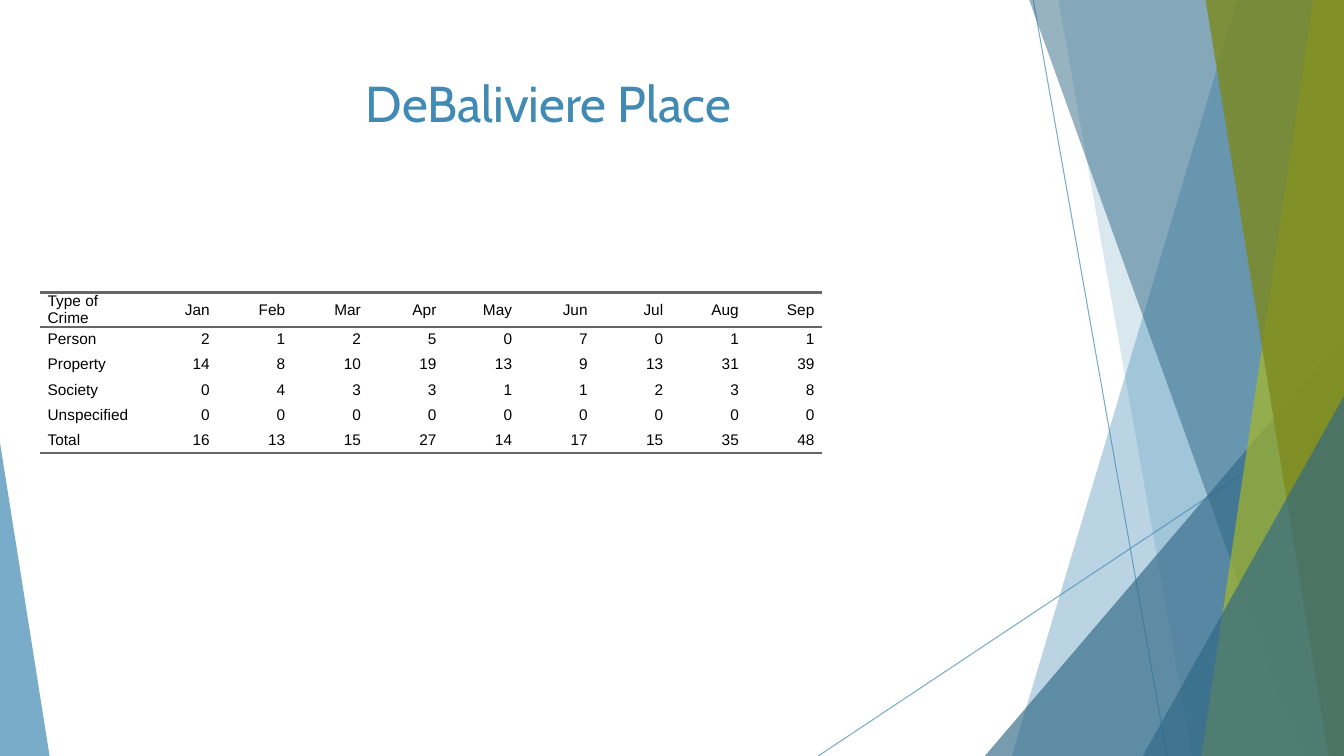
from lxml import etree
from pptx import Presentation
from pptx import util as u
from pptx.dml.color import RGBColor
from pptx.enum import shapes, text
from pptx.oxml import ns

COLORS = {"blue": "418AB3", "navy": "316886", "lime": "A6B727",
          "olive": "7D891D", "rule": "666666", "ink": "000000"}
WIDTH, HEIGHT = 33.87, 19.05
TOP = -0.02

deck = Presentation()
deck.slide_width, deck.slide_height = u.Cm(WIDTH), u.Cm(HEIGHT)
page = deck.slides.add_slide(deck.slide_layouts[5])


def paint(fill, color, opacity):
    """Solid fill with the given opacity in percent."""
    fill.solid()
    fill.fore_color.rgb = RGBColor.from_string(COLORS[color])
    for node in fill._xPr.iter(ns.qn("a:srgbClr")):
        etree.SubElement(node, ns.qn("a:alpha"), val=str(opacity * 1000))


def set_font(font, name, size, color):
    for key, value in {"name": name, "size": u.Pt(size)}.items():
        setattr(font, key, value)
    font.color.rgb = RGBColor.from_string(COLORS[color])


# Thin crossing lines
for x1, y1, x2, y2 in [(26.04, 0, 29.41, HEIGHT), (WIDTH, 10.24, 20.62, HEIGHT)]:
    line = page.shapes.add_connector(
        shapes.MSO_CONNECTOR.STRAIGHT, u.Cm(x1), u.Cm(y1), u.Cm(x2), u.Cm(y2))
    line.line.width = u.Pt(0.75)
    paint(line.line.fill, "blue", 70)
    etree.SubElement(line._element.spPr, ns.qn("a:effectLst"))

# Translucent facets, back to front
# band: top-left x, bottom-left x; triangle: left, top, width, height, apex
facets = [
    ("band", (31.19, 25.5), "blue", 36),
    ("band", (26.67, 30.05), "blue", 20),
    ("triangle", (24.82, 8.46, 9.05, 10.59, 1), "navy", 66),
    ("band", (25.93, 32.79), "navy", 50),
    ("band", (33.1, 30.28), "lime", 70),
    ("band", (30.38, 33.48), "olive", 80),
    ("triangle", (28.8, 9.98, 5.07, 9.07, 1), "navy", 66),
    ("triangle", (0, 11.15, 1.25, 7.9, 0), "blue", 70),
]
for kind, geometry, color, opacity in facets:
    if kind == "band":
        top_x, bottom_x = geometry
        outline = page.shapes.build_freeform(u.Cm(top_x), u.Cm(TOP))
        corners = [(WIDTH, TOP), (WIDTH, HEIGHT), (bottom_x, HEIGHT)]
        outline.add_line_segments([(u.Cm(x), u.Cm(y)) for x, y in corners], close=True)
        facet = outline.convert_to_shape()
    else:
        *frame, apex = geometry
        facet = page.shapes.add_shape(
            shapes.MSO_SHAPE.ISOSCELES_TRIANGLE, *[u.Cm(value) for value in frame])
        facet.adjustments[0] = apex
    paint(facet.fill, color, opacity)
    facet.line.fill.background()
    facet.shadow.inherit = False

# Crime table
rows = [
    ["Type of Crime", "Jan", "Feb", "Mar", "Apr", "May", "Jun", "Jul", "Aug", "Sep"],
    ["Person", 2, 1, 2, 5, 0, 7, 0, 1, 1],
    ["Property", 14, 8, 10, 19, 13, 9, 13, 31, 39],
    ["Society", 0, 4, 3, 3, 1, 1, 2, 3, 8],
    ["Unspecified", 0, 0, 0, 0, 0, 0, 0, 0, 0],
    ["Total", 16, 13, 15, 27, 14, 17, 15, 35, 48],
]
rules = {0: ["a:lnT", "a:lnB"], len(rows) - 1: ["a:lnB"]}
cell_format = {"margin_left": 0, "margin_right": 0, "margin_top": 0,
               "margin_bottom": 0, "vertical_anchor": text.MSO_ANCHOR.MIDDLE}
table = page.shapes.add_table(
    len(rows), len(rows[0]), u.Cm(1.02), u.Cm(7.37), u.Cm(19.69), u.Cm(3.81)).table
table.first_row = table.horz_banding = False
# "No Style, No Grid"
table._tbl.tblPr.find(ns.qn("a:tableStyleId")).text = "{2D5ABB26-0587-4C30-8999-92F81FD0307C}"
for index, column in enumerate(table.columns):
    column.width = u.Cm(1.905 if index else 2.54)

for r, values in enumerate(rows):
    table.rows[r].height = u.Cm(0.635)
    for c, value in enumerate(values):
        cell = table.cell(r, c)
        for key, setting in cell_format.items():
            setattr(cell, key, setting)
        for tag in rules.get(r, []):
            border = etree.SubElement(
                cell._tc.get_or_add_tcPr(), ns.qn(tag), w=str(u.Pt(2)))
            solid = etree.SubElement(border, ns.qn("a:solidFill"))
            etree.SubElement(solid, ns.qn("a:srgbClr"), val=COLORS["rule"])
        cell.fill.background()
        para = cell.text_frame.paragraphs[0]
        para.alignment = text.PP_ALIGN.RIGHT if c else text.PP_ALIGN.LEFT
        for side in ("marL", "marR"):
            para._p.get_or_add_pPr().set(side, str(u.Cm(0.18)))
        span = para.add_run()
        span.text = str(value)
        set_font(span.font, "Arial", 11, "ink")

# Title
title = page.shapes.title
for key, value in {"left": 1.88, "top": 1.7, "width": 23.88, "height": 3.66}.items():
    setattr(title, key, u.Cm(value))
title.text_frame.vertical_anchor = text.MSO_ANCHOR.TOP
title.text_frame.word_wrap = True
para = title.text_frame.paragraphs[0]
para.alignment = text.PP_ALIGN.CENTER
span = para.add_run()
span.text = "DeBaliviere Place"
set_font(span.font, "Cabin", 36, "blue")

deck.save("out.pptx")
